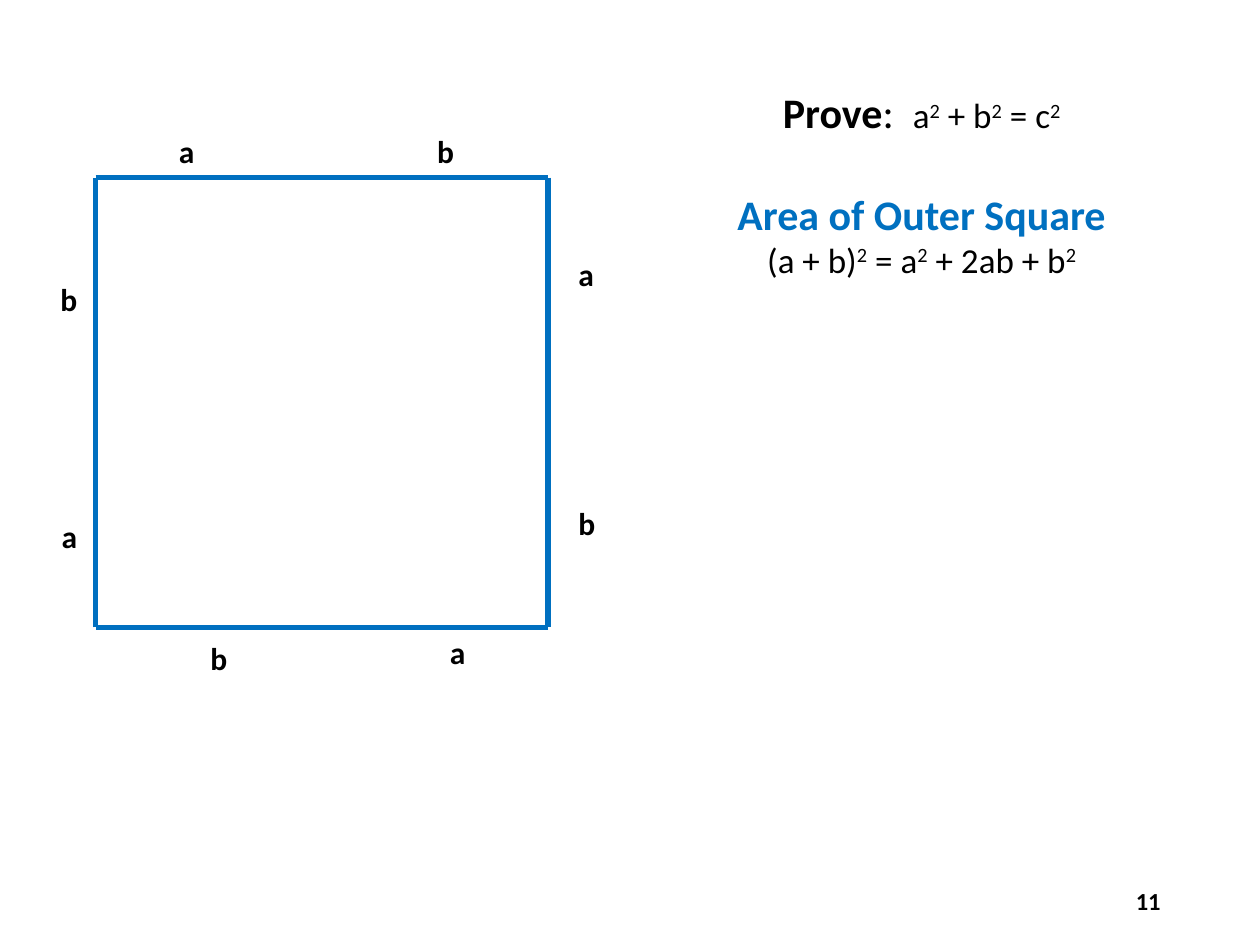
from itertools import accumulate, pairwise

from lxml.etree import SubElement
from pptx import Presentation
from pptx.dml.color import RGBColor
from pptx.enum.shapes import MSO_CONNECTOR as CONN
from pptx.enum.text import MSO_ANCHOR as ANCHOR, MSO_AUTO_SIZE as AUTO, PP_ALIGN as ALIGN
from pptx.oxml.ns import qn
from pptx.util import Emu, Pt

BLACK = RGBColor(0x00, 0x00, 0x00)
BLUE = RGBColor(0x00, 0x70, 0xC0)
FONT = "Calibri"


def px(n):
    """100 px to the inch."""
    return Emu(n * 9144)


def add_text_box(s, x, y, w, h, wrap=True):
    tf = s.shapes.add_textbox(px(x), px(y), px(w), px(h)).text_frame
    tf.word_wrap = wrap
    return tf


def style(r, size, bold=False, color=BLACK):
    r.font.name, r.font.size, r.font.bold = FONT, Pt(size), bold
    r.font.color.rgb = color


def add_run(p, text, size, bold=False, color=BLACK):
    r = p.add_run()
    r.text = text
    style(r, size, bold, color)
    return r


def add_formula(p, formula):
    """Write a formula in which ^2 stands for a raised 2."""
    *squared, rest = formula.split("^2")
    for base in squared:
        add_run(p, base, 20)
        add_run(p, "2", 20).font._element.set("baseline", "30000")
    if rest:
        add_run(p, rest, 20)


def add_proof(s, x, y, w, h):
    tf = add_text_box(s, x, y, w, h)
    # Statement to prove
    p = tf.paragraphs[0]
    add_run(p, "Prove", 24, bold=True)
    add_run(p, ":  ", 24)
    add_formula(p, "a^2 + b^2 = c^2")
    # Outer square
    p = tf.add_paragraph()
    p.space_before = Pt(29)
    add_run(p, "Area of Outer Square", 24, bold=True, color=BLUE)
    add_formula(tf.add_paragraph(), "(a + b)^2 = a^2 + 2ab + b^2")
    for p in tf.paragraphs:
        p.alignment = ALIGN.CENTER


def add_square(s, x, y, w, h):
    # Sides, clockwise from the top left, each split into a then b
    ax, ay = 154, 153
    bx, by = w - ax, h - ay
    steps = [(ax, 0), (bx, 0), (0, ay), (0, by), (-ax, 0), (-bx, 0), (0, -ay), (0, -by)]
    corners = accumulate(steps, lambda c, d: (c[0] + d[0], c[1] + d[1]), initial=(x, y))
    for (x1, y1), (x2, y2) in pairwise(corners):
        line = s.shapes.add_connector(CONN.STRAIGHT, px(x1), px(y1), px(x2), px(y2))
        line.line.color.rgb = BLUE
        line.line.width = Pt(3.13)
        SubElement(line._element.spPr, qn("a:effectLst"))

    # Side labels, in the same order
    labels = [("a", 66, -36), ("b", 271, -36), ("a", 383, 61), ("b", 383, 259),
              ("a", 281, 361), ("b", 91, 366), ("a", -27, 269), ("b", -28, 81)]
    for text, dx, dy in labels:
        tf = add_text_box(s, x + dx, y + dy, 27 if text == "a" else 28, 38, wrap=False)
        tf.margin_left = tf.margin_right = tf.margin_top = tf.margin_bottom = 0
        tf.auto_size = AUTO.SHAPE_TO_FIT_TEXT
        tf.text = text
        style(tf.paragraphs[0].runs[0], 18, bold=True)


def add_page_number(s, x, y, w, h):
    tf = add_text_box(s, x, y, w, h)
    tf.vertical_anchor = ANCHOR.MIDDLE
    tf.text = "11"
    p = tf.paragraphs[0]
    p.alignment = ALIGN.RIGHT
    style(p.runs[0], 14, bold=True)


def main():
    prs = Presentation()
    prs.slide_width, prs.slide_height = px(1000), px(750)
    s = prs.slides.add_slide(prs.slide_layouts[6])
    add_proof(s, 500, 64, 463, 205)
    add_square(s, 76, 141, 359, 357)
    add_page_number(s, 706, 695, 225, 40)
    prs.save("out.pptx")


if __name__ == "__main__":
    main()
